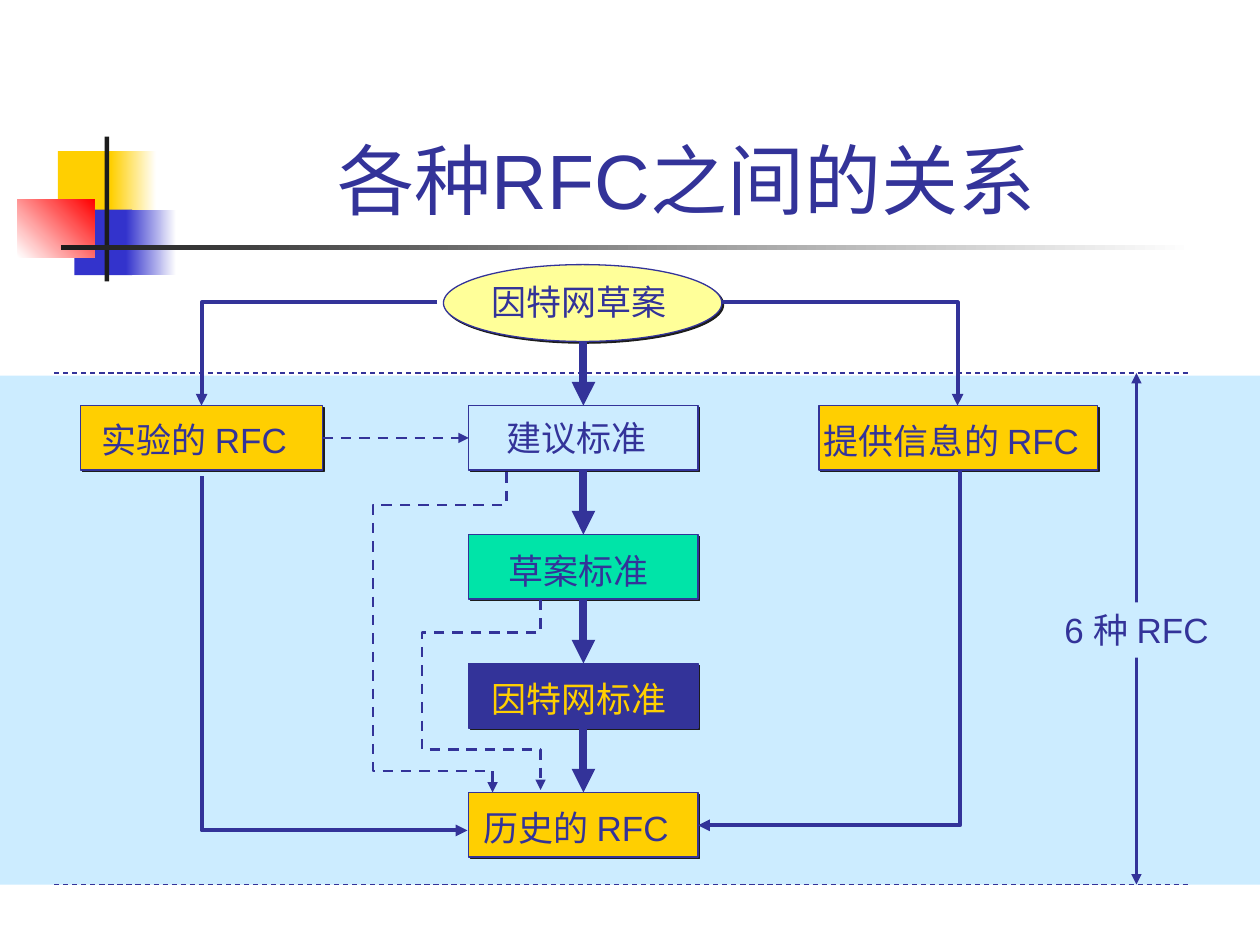
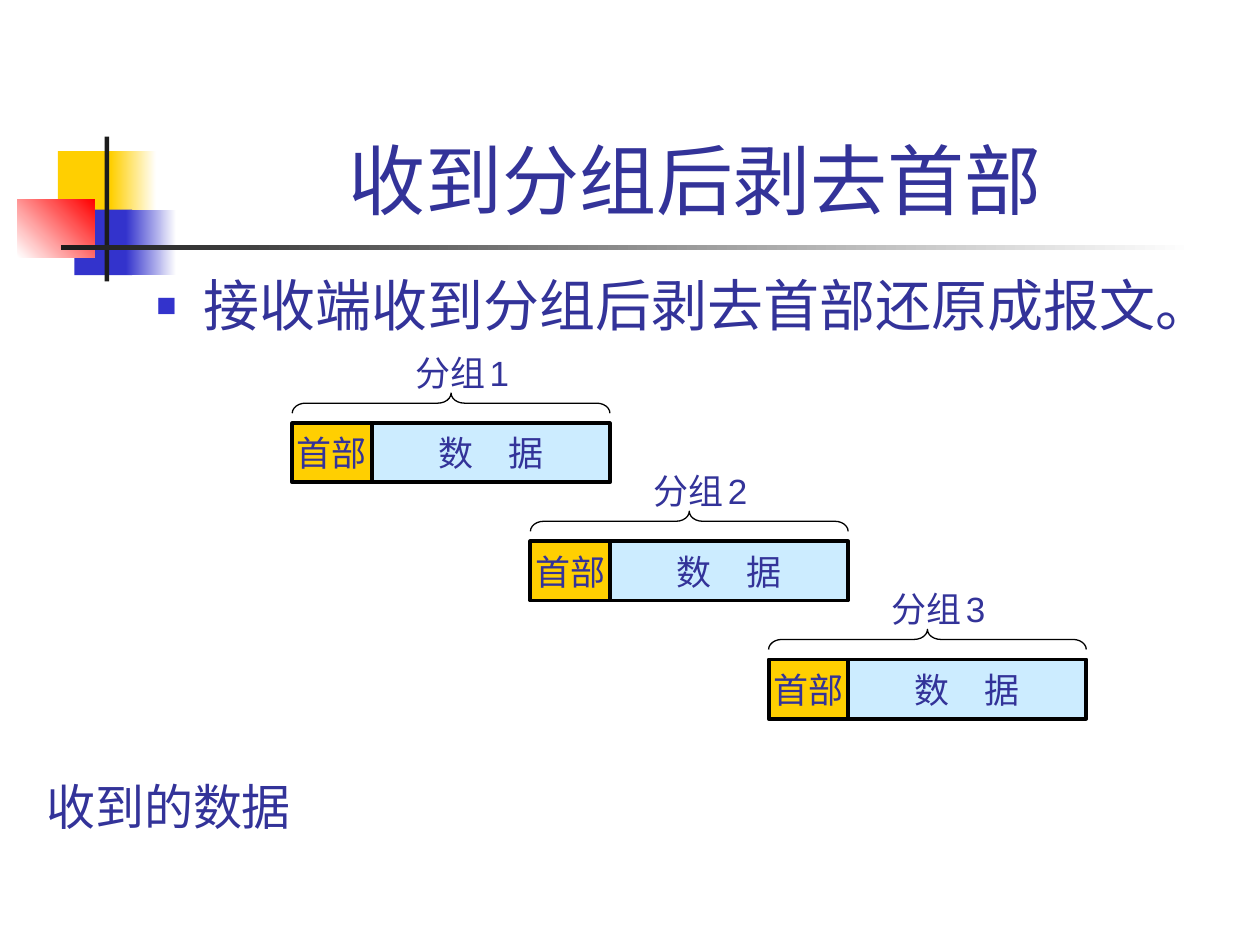
from lxml.etree import SubElement
from pptx import Presentation
from pptx.dml.color import RGBColor
from pptx.enum.dml import MSO_LINE
from pptx.enum.shapes import MSO_CONNECTOR, MSO_SHAPE
from pptx.enum.text import MSO_ANCHOR, MSO_AUTO_SIZE, PP_ALIGN
from pptx.oxml.ns import qn
from pptx.util import Pt

INK, GOLD, SKY, BLUE = "333399", "FFCF01", "CCECFF", "3333CC"
WHITE, BLACK, CHARCOAL = "FFFFFF", "000000", "1C1C1C"
ARIAL, CABIN = "Arial", "Cabin"

# Master decoration: left, top, width, height, fill (a pair is a gradient), angle
DECORATION = [
    (33.1, 86.4, 34.6, 37.4, GOLD, 0),
    (63.4, 86.4, 25.9, 37.4, (GOLD, WHITE), 0),
    (42.5, 119.8, 33.1, 37.4, BLUE, 0),
    (72, 119.8, 28.8, 37.4, (BLUE, WHITE), 0),
    (10.1, 113.8, 43.9, 33.1, (WHITE, "FF0000"), 45),
    (59.8, 78, 2.6, 82.8, CHARCOAL, 0),
    (34.6, 140.2, 648, 2.6, (CHARCOAL, WHITE), 0),
]

RFC_TITLE = "各种RFC之间的关系 "
BOX_TOP, BOX_STEP, BOX_HEIGHT = 231.8, 73.7, 36.9
TRACK_LEFT, TRACK_WIDTH = 267.9, 131
TRACK_CENTER = TRACK_LEFT + TRACK_WIDTH / 2
# Text, fill, text colour, label left, label top, label width
TRACK = [
    ("建议标准", SKY, INK, 282.2, 234.7, 96),
    ("草案标准", "00E4A8", INK, 283.7, 310.3, 96),
    ("因特网标准", INK, GOLD, 273.6, 383.8, 116),
    ("历史的 RFC", GOLD, INK, 269.3, 457.2, 128),
]
# Text, box left, box width, label left, label top, label width
SIDE_BOXES = [
    ("提供信息的 RFC", 468, 159.1, 463.7, 236.2, 168),
    ("实验的 RFC", 46.1, 138.2, 51.1, 235.4, 128),
]
DRAFT = ("因特网草案", (253.4, 151.2, 159.1, 43.9), (273.6, 157, 116))
COUNT = ("6 种 RFC", (601.2, 344.2, 108))
BAND = (0, 214.6, 720, 290.9)
BAND_EDGES = (213.1, 505.4)
SOLID_ROUTES = [
    [(412.6, 172.8), (547.2, 172.8), (547.2, 231.8)],
    [(249.8, 172.8), (115.2, 172.8), (115.2, 231.8)],
    [(115.2, 272.2), (115.2, 474.5), (267.1, 474.5)],
    [(548.6, 268.6), (548.6, 471.6), (398.9, 471.6)],
]
DASHED_ROUTES = [
    [(289.4, 270), (289.4, 288.7), (213.1, 288.7), (213.1, 440.6), (281.5, 440.6), (281.5, 452.9)],
    [(308.9, 342.7), (308.9, 361.4), (241.2, 361.4), (241.2, 428.4), (308.9, 428.4), (308.9, 451.4)],
]

STRIP_TITLE = "收到分组后剥去首部"
STRIP_BULLET = "接收端收到分组后剥去首部还原成报文。"
RECEIVED = "收到的数据"
HEADER, DATA = "首部", "数　据"
PACKET, PACKET_NUMBERS = "分组", ("1", "2", "3")
PACKET_LEFT, PACKET_TOP, PACKET_HEIGHT = 167, 241.9, 33.8
HEADER_WIDTH, DATA_WIDTH, PACKET_DROP = 45.4, 136.1, 67.5


def color(hex_string):
    return RGBColor.from_string(hex_string)


def points(*lengths):
    return [Pt(length) for length in lengths]


def add_run(paragraph, text, size, font_name=ARIAL, ink=INK):
    run = paragraph.add_run()
    run.text = text
    run.font.size = Pt(size)
    run.font.name = font_name
    run.font.color.rgb = color(ink)


def paint(shape, fill, angle=0):
    """Fill with nothing (None), one colour, or a gradient between a pair."""
    if fill is None:
        shape.fill.background()
    elif isinstance(fill, tuple):
        shape.fill.gradient()
        shape.fill.gradient_angle = angle
        for stop, hex_string in zip(shape.fill.gradient_stops, fill):
            stop.color.rgb = color(hex_string)
    else:
        shape.fill.solid()
        shape.fill.fore_color.rgb = color(fill)


def draw_line(shape, width, ink=INK, dashed=False, head=False, tail=False):
    shape.line.color.rgb = color(ink)
    shape.line.width = Pt(width)
    if dashed:
        shape.line.dash_style = MSO_LINE.DASH
    outline = shape.element.xpath(".//a:ln")[0]
    for tag, wanted in (("a:headEnd", head), ("a:tailEnd", tail)):
        if wanted:
            SubElement(outline, qn(tag), type="triangle")


def add_shape(slide, kind, frame, fill, line_width=0, ink=INK, angle=0):
    shape = slide.shapes.add_shape(kind, *points(*frame))
    shape.shadow.inherit = False
    paint(shape, fill, angle)
    if line_width:
        draw_line(shape, line_width, ink)
    else:
        shape.line.fill.background()
    return shape


def add_node(slide, kind, frame, fill):
    """Add an outlined shape with a hard shadow to its lower right."""
    shape = add_shape(slide, kind, frame, fill, 0.75)
    effects = shape.element.xpath(".//a:effectLst")[0]
    shadow = SubElement(effects, qn("a:outerShdw"), blurRad="0", dist=str(Pt(1.4)),
                        dir="2700000", algn="ctr", rotWithShape="0")
    SubElement(shadow, qn("a:srgbClr"), val=CHARCOAL)
    return shape


def add_connector(slide, start, end, width, **line_options):
    connector = slide.shapes.add_connector(
        MSO_CONNECTOR.STRAIGHT, *points(*start, *end))
    draw_line(connector, width, **line_options)
    SubElement(connector.element.spPr, qn("a:effectLst"))
    return connector


def add_route(slide, route, width, dashed=False):
    builder = slide.shapes.build_freeform(*points(*route[0]))
    builder.add_line_segments([points(*corner) for corner in route[1:]], close=False)
    shape = builder.convert_to_shape()
    shape.shadow.inherit = False
    paint(shape, None)
    draw_line(shape, width, dashed=dashed, tail=True)


def add_label(slide, runs, left, top, width, height=31.7, fill=None, wrap=False):
    """Add a text box; each run is text, size, font name and colour."""
    box = slide.shapes.add_textbox(*points(left, top, width, height))
    paint(box, fill)
    frame = box.text_frame
    frame.word_wrap = wrap
    frame.auto_size = MSO_AUTO_SIZE.SHAPE_TO_FIT_TEXT
    for run in runs:
        add_run(frame.paragraphs[0], *run)


def decorate_master(presentation, slide):
    """Draw the shared ornament and move it to the slide master."""
    master_tree = presentation.slide_master.shapes.element
    for number, (*frame, fill, angle) in enumerate(DECORATION, 100):
        shape = add_shape(slide, MSO_SHAPE.RECTANGLE, frame, fill, angle=angle)
        shape.element.xpath(".//p:cNvPr")[0].set("id", str(number))
        master_tree.append(shape.element)


def place(placeholder, frame, anchor):
    (placeholder.left, placeholder.top,
     placeholder.width, placeholder.height) = points(*frame)
    text_frame = placeholder.text_frame
    text_frame.word_wrap = True
    text_frame.auto_size = MSO_AUTO_SIZE.NONE
    text_frame.vertical_anchor = anchor
    return text_frame.paragraphs[0]


def set_title(slide, text):
    paragraph = place(slide.shapes.title, (90.7, 17, 613.4, 115.2), MSO_ANCHOR.BOTTOM)
    paragraph.alignment = PP_ALIGN.CENTER
    add_run(paragraph, text, 44)


def set_bullet(body, text):
    paragraph = place(body, (82.1, 151.2, 600, 79.2), MSO_ANCHOR.TOP)
    properties = body.element.xpath(".//a:p")[0].get_or_add_pPr()
    properties.set("marL", str(Pt(27)))
    properties.set("indent", str(-Pt(27)))
    bullet_color = SubElement(properties, qn("a:buClr"))
    SubElement(bullet_color, qn("a:srgbClr"), val=BLUE)
    SubElement(properties, qn("a:buSzPct"), val="60000")
    SubElement(properties, qn("a:buFont"), typeface=ARIAL)
    SubElement(properties, qn("a:buChar"), char="■")
    paragraph.space_before = Pt(0)
    add_run(paragraph, text, 32)


def build_rfc_slide(slide):
    add_shape(slide, MSO_SHAPE.RECTANGLE, BAND, SKY)
    set_title(slide, RFC_TITLE)

    track_boxes = []
    for row, (_, fill, *_) in enumerate(TRACK):
        frame = (TRACK_LEFT, BOX_TOP + row * BOX_STEP, TRACK_WIDTH, BOX_HEIGHT)
        track_boxes.append(add_node(slide, MSO_SHAPE.RECTANGLE, frame, fill))
    for _, left, width, *_ in SIDE_BOXES:
        side_box = add_node(slide, MSO_SHAPE.RECTANGLE,
                            (left, BOX_TOP, width, BOX_HEIGHT), GOLD)
    draft_text, draft_frame, draft_label = DRAFT
    add_node(slide, MSO_SHAPE.OVAL, draft_frame, "FFFF99")

    for row, box in enumerate(track_boxes):
        top = BOX_TOP + row * BOX_STEP
        start = top - BOX_STEP + BOX_HEIGHT
        arrow = add_connector(slide, (TRACK_CENTER, start), (TRACK_CENTER, top),
                              4.5, tail=True)
        if row:
            arrow.begin_connect(track_boxes[row - 1], 2)
        arrow.end_connect(box, 0)
    for route in SOLID_ROUTES:
        add_route(slide, route, 2.25)
    middle = BOX_TOP + BOX_HEIGHT / 2
    trial = add_connector(slide, (184.3, middle), (TRACK_LEFT, middle),
                          1.5, dashed=True, tail=True)
    trial.begin_connect(side_box, 3)
    trial.end_connect(track_boxes[0], 1)
    for route in DASHED_ROUTES:
        add_route(slide, route, 1.5, dashed=True)

    add_label(slide, [(draft_text, 20)], *draft_label)
    for text, _, ink, *position in TRACK:
        add_label(slide, [(text, 20, ARIAL, ink)], *position)
    for text, _, _, *position in SIDE_BOXES:
        add_label(slide, [(text, 20)], *position)

    for edge in BAND_EDGES:
        add_connector(slide, (31, edge), (679.7, edge), 0.75, dashed=True)
    add_connector(slide, (649.4, BAND_EDGES[0]), (649.4, BAND_EDGES[1]),
                  1.5, head=True, tail=True)
    count_text, count_position = COUNT
    add_label(slide, [(count_text, 20)], *count_position, fill=SKY)


def add_packet(slide, number, left, top):
    cells = [(DATA, left + HEADER_WIDTH, DATA_WIDTH, SKY),
             (HEADER, left, HEADER_WIDTH, GOLD)]
    for text, cell_left, width, fill in cells:
        cell = add_shape(slide, MSO_SHAPE.RECTANGLE,
                         (cell_left, top, width, PACKET_HEIGHT), fill, 2.25, BLACK)
        frame = cell.text_frame
        frame.word_wrap = False
        frame.vertical_anchor = MSO_ANCHOR.MIDDLE
        frame.paragraphs[0].alignment = PP_ALIGN.CENTER
        add_run(frame.paragraphs[0], text, 20, CABIN)

    span, depth = HEADER_WIDTH + DATA_WIDTH, 11.5
    center = left + span / 2
    brace_frame = (center - depth / 2, top - depth - span / 2, depth, span)
    brace = add_shape(slide, MSO_SHAPE.LEFT_BRACE, brace_frame, None, 0.75, BLACK)
    brace.adjustments[0] = 0.66
    brace.rotation = 90
    runs = [(PACKET, 20, CABIN), (" ", 10), (number, 20)]
    add_label(slide, runs, left + 63.4, top - 44.6, 78)


def build_strip_slide(slide):
    set_title(slide, STRIP_TITLE)
    set_bullet(slide.placeholders[1], STRIP_BULLET)
    for index, number in enumerate(PACKET_NUMBERS):
        add_packet(slide, number, PACKET_LEFT + index * DATA_WIDTH,
                   PACKET_TOP + index * PACKET_DROP)
    add_label(slide, [(RECEIVED, 28, CABIN)], 19.4, 439.9, 158.4, 41, wrap=True)


def main():
    presentation = Presentation()
    presentation.slide_width, presentation.slide_height = points(720, 540)
    layouts = presentation.slide_layouts
    rfc_slide = presentation.slides.add_slide(layouts[5])
    decorate_master(presentation, rfc_slide)
    build_rfc_slide(rfc_slide)
    build_strip_slide(presentation.slides.add_slide(layouts[1]))
    presentation.save("out.pptx")


if __name__ == "__main__":
    main()
